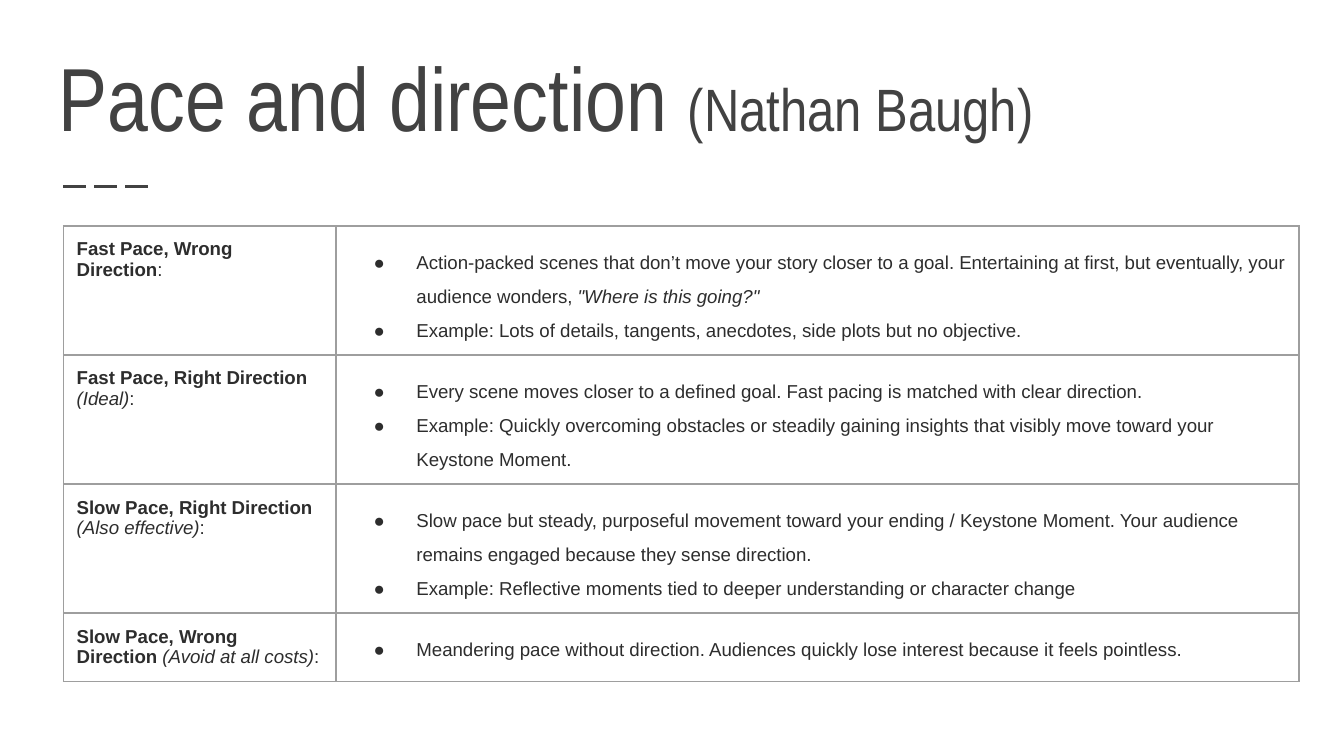
from lxml import etree
from pptx import Presentation
from pptx.dml.color import RGBColor
from pptx.enum.dml import MSO_LINE
from pptx.enum.shapes import MSO_CONNECTOR
from pptx.enum.text import MSO_ANCHOR, MSO_AUTO_SIZE, PP_ALIGN
from pptx.oxml.ns import qn
from pptx.util import Cm, Pt

STRAIGHT = MSO_CONNECTOR.STRAIGHT
LONG_DASH = MSO_LINE.LONG_DASH
BOTTOM, TOP = MSO_ANCHOR.BOTTOM, MSO_ANCHOR.TOP
LEFT = PP_ALIGN.LEFT
NO_FIT = MSO_AUTO_SIZE.NONE

COLORS = {"title": "424242", "text": "2D2D2D", "border": "9E9E9E"}
TITLE_FONT, BODY_FONT = "Arial Narrow", "Arial"

# Each span is (text, style); each row is (label spans, list of bullets).
TITLE = [("Pace and direction ", 48), ("(Nathan Baugh)", 32)]
ROWS = [
    (
        [("Fast Pace, Wrong Direction", "bold"), (":", "")],
        [
            [
                ("Action-packed scenes that don’t move your story closer to a goal. "
                 "Entertaining at first, but eventually, your audience wonders, ", ""),
                ('"Where is this going?"', "italic"),
            ],
            [("Example: Lots of details, tangents, anecdotes, side plots but no objective.", "")],
        ],
    ),
    (
        [("Fast Pace, Right Direction", "bold"), (" ", ""), ("(Ideal)", "italic"), (":", "")],
        [
            [("Every scene moves closer to a defined goal. "
              "Fast pacing is matched with clear direction.", "")],
            [("Example: Quickly overcoming obstacles or steadily gaining insights "
              "that visibly move toward your Keystone Moment.", "")],
        ],
    ),
    (
        [("Slow Pace, Right Direction", "bold"), (" ", ""), ("(Also effective)", "italic"), (":", "")],
        [
            [("Slow pace but steady, purposeful movement toward your ending / Keystone Moment. "
              "Your audience remains engaged because they sense direction.", "")],
            [("Example: Reflective moments tied to deeper understanding or character change", "")],
        ],
    ),
    (
        [("Slow Pace, Wrong Direction", "bold"), (" ", ""), ("(Avoid at all costs)", "italic"), (":", "")],
        [
            [("Meandering pace without direction. "
              "Audiences quickly lose interest because it feels pointless.", "")],
        ],
    ),
]

MARGIN_LEFT = Cm(1.2)
INSET = Cm(0.25)
TABLE_TOP = Cm(4.27)
COLUMN_WIDTHS = [Cm(5.15), Cm(18.2)]
TALL_ROW, SHORT_ROW = Cm(2.43), Cm(1.3)


def color(name):
    return RGBColor.from_string(COLORS[name])


def set_insets(target):
    target.margin_left = target.margin_right = INSET
    target.margin_top = target.margin_bottom = INSET


def add_solid_fill(parent, name):
    fill = etree.SubElement(parent, qn("a:solidFill"))
    etree.SubElement(fill, qn("a:srgbClr"), val=COLORS[name])


def add_bullet(para):
    properties = para._p.get_or_add_pPr()
    properties.set("marL", str(Cm(1.27)))
    properties.set("indent", str(-Cm(0.81)))
    bullet_color = etree.SubElement(properties, qn("a:buClr"))
    etree.SubElement(bullet_color, qn("a:srgbClr"), val=COLORS["text"])
    etree.SubElement(properties, qn("a:buFont"), typeface=BODY_FONT)
    etree.SubElement(properties, qn("a:buChar"), char="●")
    para.line_spacing = 1.64


def write_spans(para, spans):
    para.font.name = BODY_FONT
    para.font.size = Pt(10)
    para.font.color.rgb = color("text")
    for text, style in spans:
        span = para.add_run()
        span.text = text
        span.font.bold = style == "bold"
        span.font.italic = style == "italic"


def format_cell(cell):
    cell.fill.background()
    cell.vertical_anchor = TOP
    set_insets(cell)
    properties = cell._tc.get_or_add_tcPr()
    for index, side in enumerate(("lnL", "lnR", "lnT", "lnB")):
        border = etree.Element(qn(f"a:{side}"), w=str(Pt(0.75)))
        add_solid_fill(border, "border")
        properties.insert(index, border)


def add_title(page):
    box = page.shapes.title
    box.left, box.top, box.width, box.height = Cm(0.86), Cm(1.04), Cm(23.67), Cm(2.03)
    frame = box.text_frame
    frame.word_wrap = True
    frame.auto_size = NO_FIT
    frame.vertical_anchor = BOTTOM
    set_insets(frame)
    para = frame.paragraphs[0]
    para.alignment = LEFT
    para.font.name = TITLE_FONT
    para.font.color.rgb = color("title")
    for text, size in TITLE:
        span = para.add_run()
        span.text = text
        span.font.size = Pt(size)


def add_dashes(page):
    y = Cm(3.53)
    rule = page.shapes.add_connector(STRAIGHT, MARGIN_LEFT, y, Cm(2.9), y)
    rule.line.color.rgb = color("title")
    rule.line.width = Pt(1.5)
    rule.line.dash_style = LONG_DASH
    etree.SubElement(rule._element.spPr, qn("a:effectLst"))


def add_pace_table(page):
    heights = [TALL_ROW if len(bullets) > 1 else SHORT_ROW for _, bullets in ROWS]
    table = page.shapes.add_table(
        len(ROWS), len(COLUMN_WIDTHS), MARGIN_LEFT, TABLE_TOP, sum(COLUMN_WIDTHS), sum(heights)
    ).table
    table.first_row = table.horz_banding = False
    for column, width in zip(table.columns, COLUMN_WIDTHS):
        column.width = width
    for row, height, (label, bullets) in zip(table.rows, heights, ROWS):
        row.height = height
        label_cell, bullet_cell = row.cells
        format_cell(label_cell)
        format_cell(bullet_cell)
        write_spans(label_cell.text_frame.paragraphs[0], label)
        frame = bullet_cell.text_frame
        for index, spans in enumerate(bullets):
            para = frame.add_paragraph() if index else frame.paragraphs[0]
            add_bullet(para)
            write_spans(para, spans)


def main():
    deck = Presentation()
    deck.slide_width, deck.slide_height = Cm(25.4), Cm(14.29)
    page = deck.slides.add_slide(deck.slide_layouts.get_by_name("Title Only"))
    add_dashes(page)
    add_title(page)
    add_pace_table(page)
    deck.save("out.pptx")


if __name__ == "__main__":
    main()
